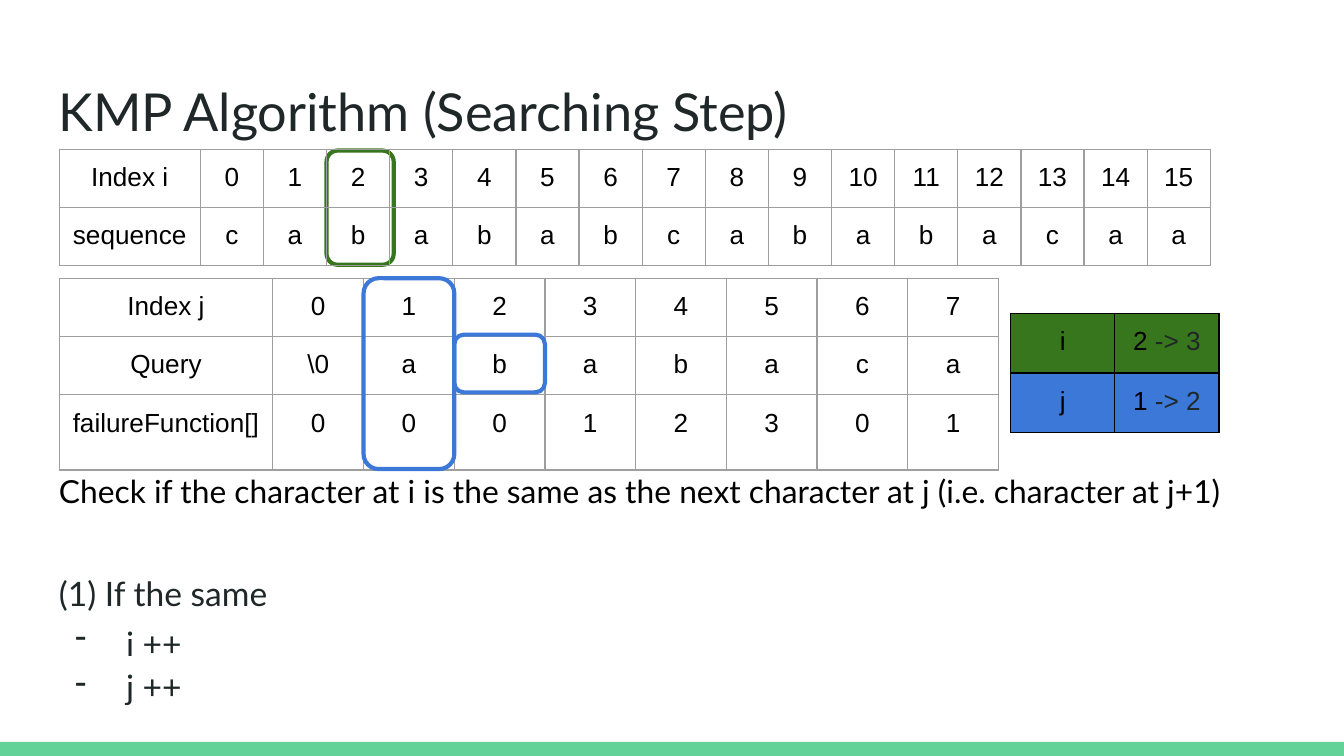
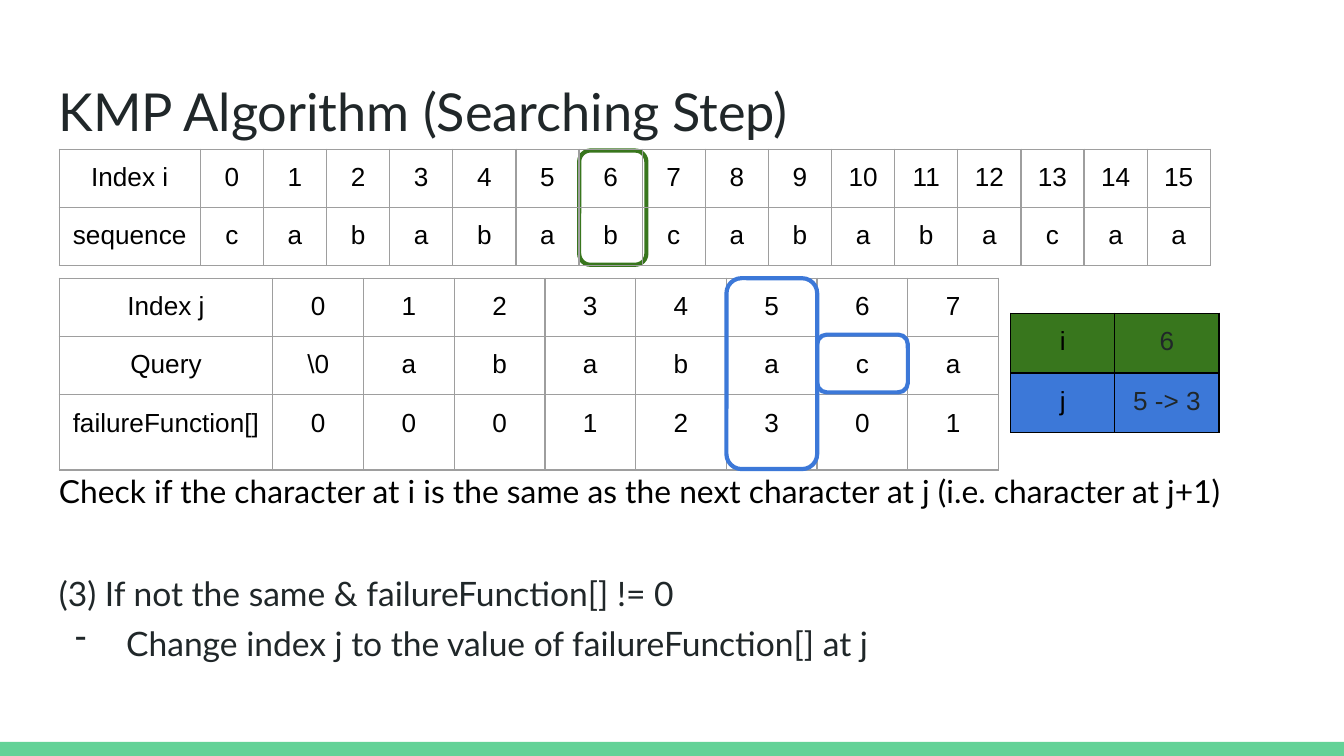
from dataclasses import dataclass
from pptx import Presentation
from pptx.dml.color import RGBColor
from pptx.enum.shapes import MSO_SHAPE
from pptx.enum.text import MSO_ANCHOR, PP_ALIGN
from pptx.oxml.ns import qn
from pptx.util import Inches, Pt
from lxml.etree import SubElement


@dataclass(frozen=True)
class Theme:
    ink: str = "202729"
    black: str = "000000"
    gray: str = "9E9E9E"
    green: str = "38761D"
    blue: str = "3C78D8"
    band: str = "63D297"
    head: str = "Lato"
    sans: str = "Arial"
    title: float = 28
    lead: float = 17
    body: float = 18
    cell: float = 14
    rule: float = 0.75
    ring: float = 2.25


@dataclass(frozen=True)
class Grid:
    left: float
    top: float
    label: float
    width: float
    rows: tuple
    cols: int

    @property
    def step(self):
        return (self.width - self.label) / (self.cols - 1)

    def col(self, index):
        return self.left + self.label + index * self.step


class Deck:
    COLS, ROWS = 100, 56.25

    def __init__(self, theme):
        self.theme = theme
        self.prs = Presentation()
        self.prs.slide_width = Inches(10)
        self.prs.slide_height = Inches(5.625)
        self.slide = None

    def size(self, cols):
        return round(self.prs.slide_width * cols / self.COLS)

    def area(self, *box):
        return [self.size(side) for side in box]

    def start(self):
        self.slide = self.prs.slides.add_slide(self.prs.slide_layouts[6])
        band = self.slide.shapes.add_shape(
            MSO_SHAPE.RECTANGLE, *self.area(0, 55.2, self.COLS, self.ROWS - 55.2))
        band.shadow.inherit = False
        band.fill.solid()
        band.fill.fore_color.rgb = RGBColor.from_string(self.theme.band)
        band.line.fill.background()

    def paint(self, run, size, color, face):
        run.font.size = Pt(size)
        run.font.name = face
        run.font.color.rgb = RGBColor.from_string(color)

    def frame(self, *box):
        frame = self.slide.shapes.add_textbox(*self.area(*box)).text_frame
        frame.word_wrap = True
        frame.vertical_anchor = MSO_ANCHOR.TOP
        frame.margin_left = frame.margin_right = self.size(1)
        frame.margin_top = frame.margin_bottom = self.size(1)
        return frame

    def title(self, text):
        frame = self.frame(3.4, 4.9, 93.2, 6.3)
        frame.text = text
        self.paint(frame.paragraphs[0].runs[0], self.theme.title,
                   self.theme.ink, self.theme.head)

    def bullet(self, para):
        props = para._p.get_or_add_pPr()
        props.set("marL", str(self.size(5)))
        props.set("indent", str(-self.size(3.8)))
        color = SubElement(props, qn("a:buClr"))
        SubElement(color, qn("a:srgbClr"), val=self.theme.ink)
        SubElement(props, qn("a:buChar"), char="-")

    def notes(self, lead, case, steps):
        look = self.theme
        frame = self.frame(3.4, 34.1, 93.2, 15.1)
        frame.text = "\n".join([lead, case, *steps])
        first, second, *items = frame.paragraphs
        self.paint(first.runs[0], look.lead, look.black, look.head)
        second.space_before = Pt(43)
        second.line_spacing = 0.5
        for index, item in enumerate(items):
            self.bullet(item)
            item.space_before = Pt(0 if index else 16)
            item.line_spacing = 1.15 if index else 0.5
        for para in [second, *items]:
            self.paint(para.runs[0], look.body, look.ink, look.head)

    def border(self, cell, color):
        props = cell._tc.get_or_add_tcPr()
        for side in ("lnL", "lnR", "lnT", "lnB"):
            line = SubElement(props, qn("a:" + side), w=str(Pt(self.theme.rule)))
            fill = SubElement(line, qn("a:solidFill"))
            SubElement(fill, qn("a:srgbClr"), val=color)

    def label(self, cell, parts):
        cell.margin_left = cell.margin_right = self.size(1)
        cell.margin_top = cell.margin_bottom = self.size(1)
        para = cell.text_frame.paragraphs[0]
        para.alignment = PP_ALIGN.CENTER
        for text, color in parts:
            run = para.add_run()
            run.text = text
            self.paint(run, self.theme.cell, color, self.theme.sans)

    def table(self, grid, data, edge, fills=None):
        table = self.slide.shapes.add_table(
            len(data), grid.cols,
            *self.area(grid.left, grid.top, grid.width, sum(grid.rows))).table
        table.first_row = table.horz_banding = False
        for index, col in enumerate(table.columns):
            col.width = self.size(grid.step if index else grid.label)
        for r, row in enumerate(data):
            table.rows[r].height = self.size(grid.rows[r])
            for c, item in enumerate(row):
                cell = table.cell(r, c)
                plain = isinstance(item, str)
                self.label(cell, [(item, self.theme.black)] if plain else item)
                self.border(cell, edge)
                if fills:
                    cell.fill.solid()
                    cell.fill.fore_color.rgb = RGBColor.from_string(fills[r])
                else:
                    cell.fill.background()

    def ring(self, shapes, color, *box):
        ring = shapes.add_shape(MSO_SHAPE.ROUNDED_RECTANGLE, *self.area(*box))
        ring.shadow.inherit = False
        ring.fill.background()
        ring.line.color.rgb = RGBColor.from_string(color)
        ring.line.width = Pt(self.theme.ring)

    def group(self):
        return self.slide.shapes.add_group_shape().shapes


LOOK = Theme()
TEXT = Grid(4.4, 11.1, 10.5, 85.7, (4.2, 4.2), 17)
QUERY = Grid(4.4, 20.7, 15.9, 69.9, (4.2, 4.3, 5.6), 9)
STATE = Grid(75.2, 23.3, 7.75, 15.5, (4.45, 4.45), 2)
SEQ = [["Index i", *map(str, range(16))], ["sequence", *"cabababcababacaa"]]
FAIL = [["Index j", *map(str, range(8))],
        ["Query", "\\0", *"ababaca"],
        ["failureFunction[]", *"00012301"]]


def build(deck, i, j, state, case, steps):
    deck.start()
    deck.title("KMP Algorithm (Searching Step)")
    deck.notes("Check if the character at i is the same as the next character "
               "at j (i.e. character at j+1)", case, steps)
    deck.table(QUERY, FAIL, LOOK.gray)
    deck.table(STATE, [[name, parts] for name, parts in zip("ij", state)],
               LOOK.black, (LOOK.green, LOOK.blue))
    deck.ring(deck.slide.shapes, LOOK.green, TEXT.col(i), TEXT.top + 0.1, 5, 8.5)
    pair = deck.group()
    deck.ring(pair, LOOK.blue, QUERY.col(j), QUERY.top,
              QUERY.step, sum(QUERY.rows) + 0.1)
    deck.ring(pair, LOOK.blue, QUERY.col(j + 1), QUERY.top + QUERY.rows[0],
              QUERY.step, QUERY.rows[1])
    deck.table(TEXT, SEQ, LOOK.gray)


def main():
    deck = Deck(LOOK)
    build(deck, 2, 1,
          [[("2 ", LOOK.black), ("-> 3", LOOK.ink)],
           [("1 ", LOOK.black), ("-> 2", LOOK.ink)]],
          "(1) If the same", ["i ++", "j ++"])
    build(deck, 6, 5, [[("6", LOOK.ink)], [("5 -> 3", LOOK.ink)]],
          "(3) If not the same & failureFunction[] != 0",
          ["Change index j to the value of failureFunction[] at j"])
    deck.prs.save("out.pptx")


if __name__ == "__main__":
    main()
